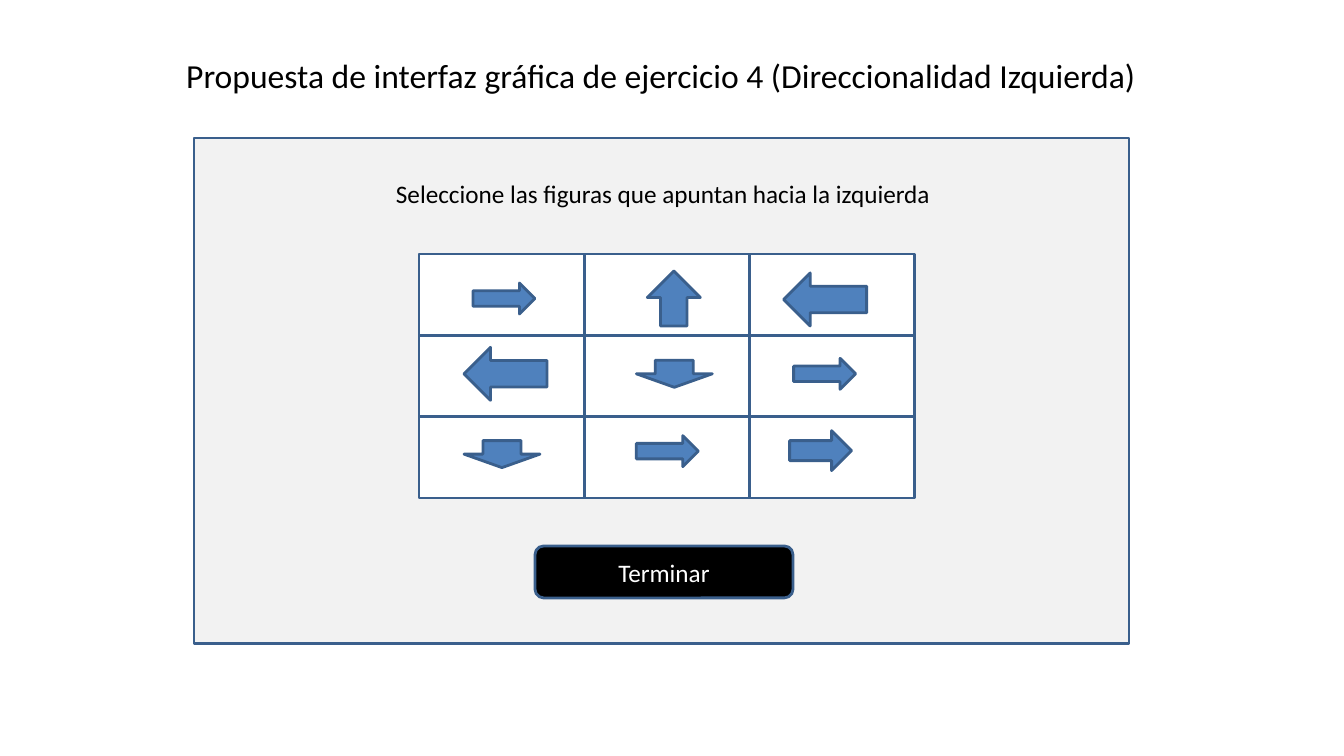
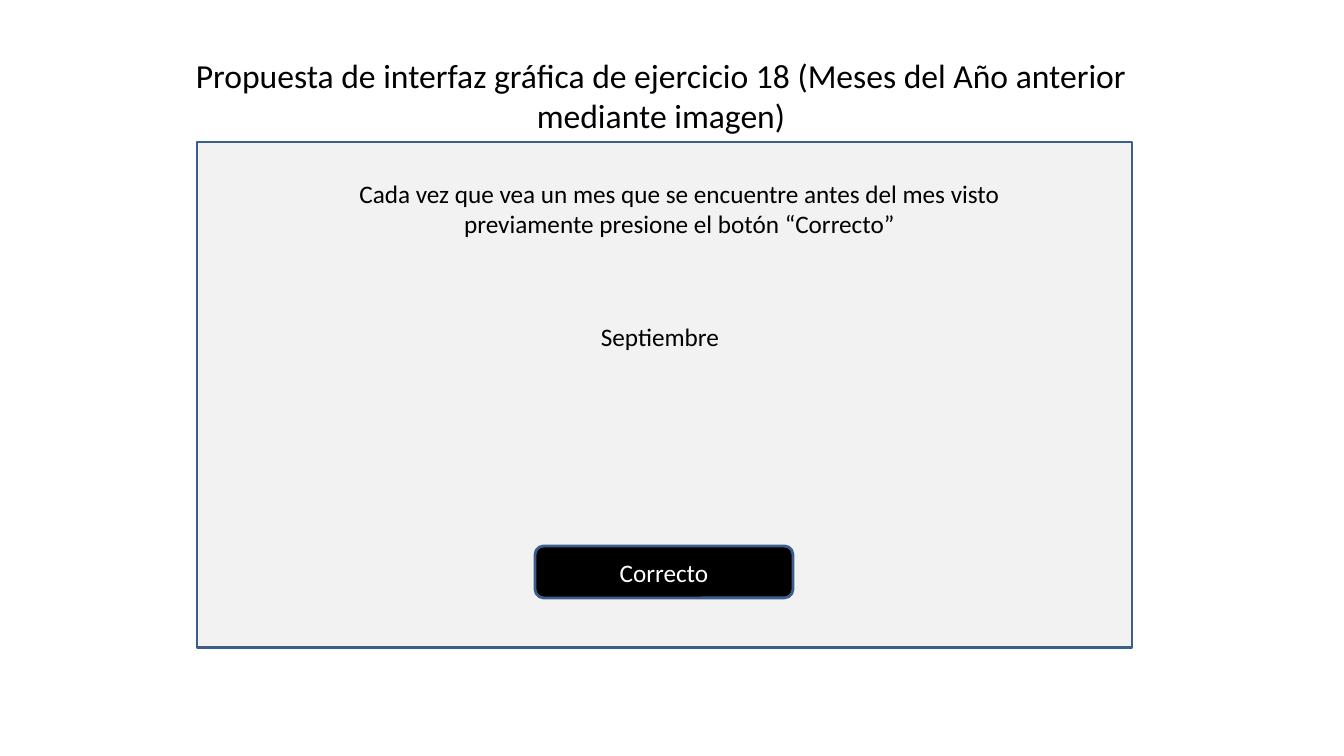
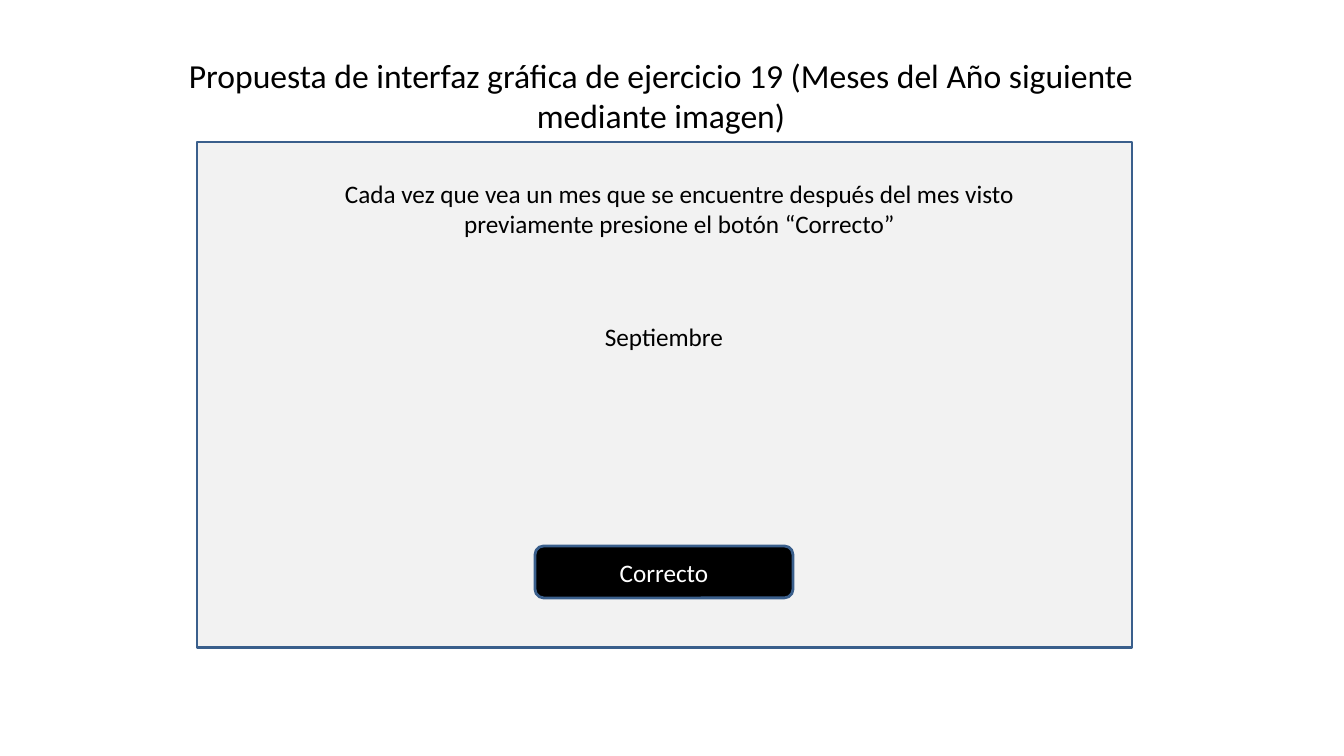
from collections import namedtuple
from dataclasses import dataclass

from pptx import Presentation
from pptx.dml.color import RGBColor
from pptx.enum.shapes import MSO_SHAPE
from pptx.enum.text import MSO_ANCHOR, PP_ALIGN
from pptx.util import Pt

RECTANGLE, ROUNDED = MSO_SHAPE.RECTANGLE, MSO_SHAPE.ROUNDED_RECTANGLE
RIGHT, LEFT = MSO_SHAPE.RIGHT_ARROW, MSO_SHAPE.LEFT_ARROW
UP, DOWN = MSO_SHAPE.UP_ARROW, MSO_SHAPE.DOWN_ARROW
ALIGN_LEFT, ALIGN_CENTER = PP_ALIGN.LEFT, PP_ALIGN.CENTER
TOP, MIDDLE = MSO_ANCHOR.TOP, MSO_ANCHOR.MIDDLE

EMU_PER_PIXEL = 914400 / 100.8
Box = namedtuple("Box", "left top width height")


@dataclass(frozen=True)
class Theme:
    """Colours and type sizes shared by all slides."""
    font: str = "Calibri"
    title_size: int = 24
    body_size: int = 18
    line_width: int = 2
    outline: str = "3A5F8C"
    panel: str = "F2F2F2"
    cell: str = "FFFFFF"
    arrow: str = "4F81BD"
    button: str = "000000"
    ink: str = "000000"
    button_ink: str = "FFFFFF"


THEME = Theme()
PAGE_SIZE = (1344, 756)
TITLE_BOX = Box(168, 50, 986, 91)
BUTTON_BOX = Box(535, 546, 258, 52)
GRID_PANEL = Box(194, 138, 935, 506)
MONTH_PANEL = Box(197, 142, 935, 506)

ARROW_ROWS = [
    [(RIGHT, Box(54, 29, 62, 31)), (UP, Box(63, 17, 53, 55)), (LEFT, Box(34, 19, 83, 53))],
    [(LEFT, Box(45, 12, 83, 53)), (DOWN, Box(52, 25, 76, 27)), (RIGHT, Box(44, 23, 62, 31))],
    [(DOWN, Box(45, 24, 76, 27)), (RIGHT, Box(52, 19, 62, 31)), (RIGHT, Box(40, 14, 62, 40))],
]


def emu(pixels):
    """Turn pixels into EMU."""
    return round(pixels * EMU_PER_PIXEL)


def inside(outer, inner):
    """Shift a box given relative to an outer box onto the page."""
    return Box(outer.left + inner.left, outer.top + inner.top, inner.width, inner.height)


def write(shape, text, size, color, align, anchor=TOP):
    """Write one wrapped paragraph into a shape."""
    frame = shape.text_frame
    frame.word_wrap = True
    frame.vertical_anchor = anchor
    para = frame.paragraphs[0]
    para.alignment = align
    span = para.add_run()
    span.text = text
    span.font.name = THEME.font
    span.font.size = Pt(size)
    span.font.color.rgb = RGBColor.from_string(color)


def add_text(page, box, text, size=THEME.body_size, align=ALIGN_CENTER):
    """Add a text box."""
    label = page.shapes.add_textbox(*map(emu, box))
    write(label, text, size, THEME.ink, align)


def add_outlined(page, kind, box, fill):
    """Add a filled preset shape with the shared outline."""
    shape = page.shapes.add_shape(kind, *map(emu, box))
    shape.shadow.inherit = False
    shape.fill.solid()
    shape.fill.fore_color.rgb = RGBColor.from_string(fill)
    shape.line.color.rgb = RGBColor.from_string(THEME.outline)
    shape.line.width = Pt(THEME.line_width)
    return shape


def add_button(page, box, text):
    """Add the button that ends or answers an exercise."""
    button = add_outlined(page, ROUNDED, box, THEME.button)
    write(button, text, THEME.body_size, THEME.button_ink, ALIGN_CENTER, MIDDLE)


def add_arrow_grid(page, box, rows):
    """Add a grid of cells, then the arrow of each cell."""
    width, height = box.width / len(rows[0]), box.height / len(rows)
    placed = [
        (Box(box.left + column * width, box.top + row * height, width, height), arrow)
        for row, arrows in enumerate(rows)
        for column, arrow in enumerate(arrows)
    ]
    for cell, _ in placed:
        add_outlined(page, RECTANGLE, cell, THEME.cell)
    for cell, (kind, offset) in placed:
        add_outlined(page, kind, inside(cell, offset), THEME.arrow)


def add_exercise(deck, panel, title, button):
    """Add a page with the title, panel and button of an exercise."""
    page = deck.slides.add_slide(deck.slide_layouts[6])
    add_outlined(page, RECTANGLE, panel, THEME.panel)
    add_text(page, TITLE_BOX, "Propuesta de interfaz gráfica de ejercicio " + title, THEME.title_size)
    add_button(page, BUTTON_BOX, button)
    return page


def add_direction_exercise(deck, panel):
    """Add the exercise of picking arrows that point left."""
    page = add_exercise(deck, panel, "4 (Direccionalidad Izquierda)", "Terminar")
    add_text(page, inside(panel, Box(192, 35, 582, 71)),
             "Seleccione las figuras que apuntan hacia la izquierda", align=ALIGN_LEFT)
    add_arrow_grid(page, inside(panel, Box(225, 116, 496, 244)), ARROW_ROWS)


def add_month_exercise(deck, panel, number, order, position, month_left):
    """Add an exercise of comparing a month with the one before."""
    title = f"{number} (Meses del Año {order} mediante imagen)"
    page = add_exercise(deck, panel, title, "Correcto")
    add_text(page, inside(panel, Box(109, 31, 747, 71)),
             f"Cada vez que vea un mes que se encuentre {position} del mes visto "
             "previamente presione el botón “Correcto”")
    add_text(page, inside(panel, Box(month_left, 174, 240, 40)), "Septiembre", align=ALIGN_LEFT)


def main():
    """Build and save the deck."""
    deck = Presentation()
    deck.slide_width, deck.slide_height = map(emu, PAGE_SIZE)
    add_direction_exercise(deck, GRID_PANEL)
    add_month_exercise(deck, MONTH_PANEL, 18, "anterior", "antes", 394)
    add_month_exercise(deck, MONTH_PANEL, 19, "siguiente", "después", 398)
    deck.save("out.pptx")


main()
